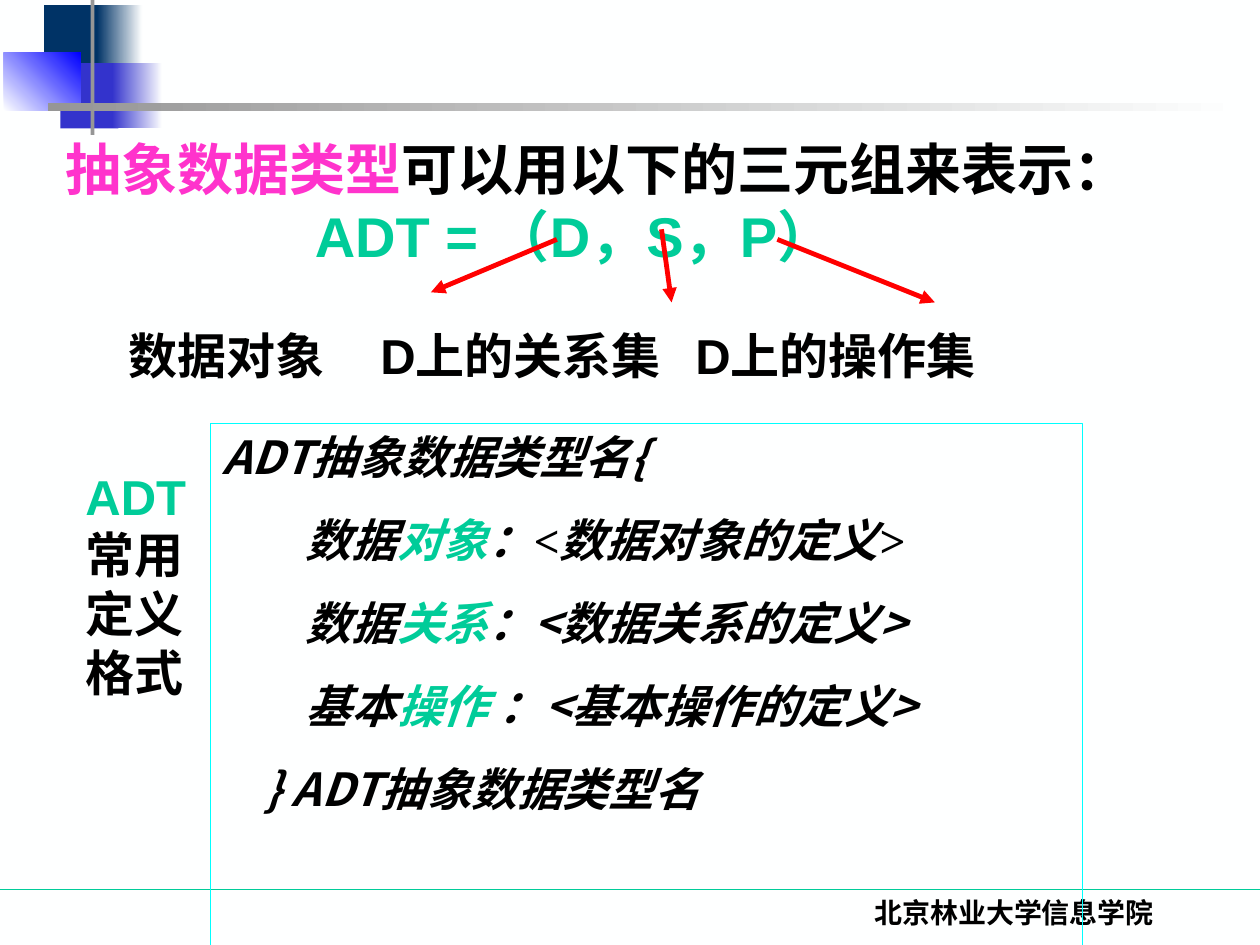
import pptx
import pptx.util
import pptx.dml.color
import pptx.enum.shapes
import pptx.enum.text
import pptx.oxml.ns
from lxml import etree

Inches = pptx.util.Inches
Pt = pptx.util.Pt
qn = pptx.oxml.ns.qn
SHAPE = pptx.enum.shapes.MSO_SHAPE
ALIGN = pptx.enum.text.PP_ALIGN

BACKGROUND, BLACK, GREEN = "FEFFFF", "000000", "00CC99"
PINK, CYAN, RED = "FF33CC", "00FFFF", "FF0000"
NAVY, INDIGO, BLUE, GRAY = "003366", "3333CC", "0000FF", "969696"
CJK = "Noto Sans CJK SC"
SERIF = "Times New Roman"


def color(value):
    return pptx.dml.color.RGBColor.from_string(value)


def add_rectangle(slide, box, fill=None, fade=None, angle=0, line=None):
    """Rectangle with no fill, a plain fill, or a gradient from fill to fade."""
    shape = slide.shapes.add_shape(SHAPE.RECTANGLE, *map(Inches, box))
    shape.shadow.inherit = False
    if fade:
        shape.fill.gradient()
        shape.fill.gradient_angle = angle
        for stop, value, position in zip(shape.fill.gradient_stops, (fill, fade), (0, 1)):
            stop.color.rgb = color(value)
            stop.position = position
    elif fill:
        shape.fill.solid()
        shape.fill.fore_color.rgb = color(fill)
    else:
        shape.fill.background()
    if line:
        shape.line.color.rgb = color(line)
        shape.line.width = Pt(0.75)
    else:
        shape.line.fill.background()
    return shape


def add_line(slide, start, end, line, width, arrow=False):
    connector = slide.shapes.add_connector(
        pptx.enum.shapes.MSO_CONNECTOR.STRAIGHT, *map(Inches, start + end))
    connector.line.color.rgb = color(line)
    connector.line.width = Pt(width)
    if arrow:
        etree.SubElement(connector.line._get_or_add_ln(), qn("a:tailEnd"), type="triangle")
    etree.SubElement(connector._element.spPr, qn("a:effectLst"))


def add_text_box(slide, box):
    return slide.shapes.add_textbox(*map(Inches, box))


def write_paragraph(shape, runs, size, font="Arial", italic=False, before=0,
                    indent=0, tabs=(), align=ALIGN.LEFT):
    """Add a paragraph; each run is (text, color) or (text, color, font)."""
    frame = shape.text_frame
    frame.word_wrap = True
    frame.vertical_anchor = pptx.enum.text.MSO_ANCHOR.TOP
    first = frame.paragraphs[0]
    paragraph = frame.add_paragraph() if first.runs else first
    properties = paragraph._p.get_or_add_pPr()
    properties.set("marL", str(Inches(indent)))
    properties.set("indent", "0")
    if tabs:
        tab_list = etree.SubElement(properties, qn("a:tabLst"))
        for position in tabs:
            etree.SubElement(tab_list, qn("a:tab"), pos=str(Inches(position)), algn="l")
    paragraph.alignment = align
    if before:
        paragraph.space_before = Pt(before)
    for text, text_color, *other_font in runs:
        run = paragraph.add_run()
        run.text = text
        run.font.size = Pt(size)
        run.font.bold = True
        run.font.italic = italic
        run.font.color.rgb = color(text_color)
        run.font.name = other_font[0] if other_font else font
        etree.SubElement(run._r.get_or_add_rPr(), qn("a:ea"), typeface=CJK)


def add_decoration(slide, left, top):
    """Overlapping squares and gray bars in the top left corner."""
    parts = [
        ((0.32, 0.12, 0.48, 0.52), NAVY, None, 0),
        ((0.74, 0.12, 0.36, 0.52), NAVY, BACKGROUND, 0),
        ((0.45, 0.58, 0.46, 0.52), INDIGO, None, 0),
        ((0.86, 0.58, 0.4, 0.52), INDIGO, BACKGROUND, 0),
        ((0, 0.5, 0.61, 0.46), BACKGROUND, BLUE, 45),
        ((0.69, 0, 0.03, 1.15), GRAY, None, 0),
        ((0.35, 0.9, 9.51, 0.06), GRAY, BACKGROUND, 0),
    ]
    for (x, y, width, height), fill, fade, angle in parts:
        add_rectangle(slide, (left + x, top + y, width, height), fill, fade, angle)


def add_footer(slide, box):
    add_line(slide, (0, box[1]), (10, box[1]), GREEN, 0.75)
    write_paragraph(add_text_box(slide, box), [("北京林业大学信息学院", BLACK)], 16,
                    font=SERIF, align=ALIGN.CENTER)


def add_triple(slide, box):
    """Statement, formula and the meaning of its three members."""
    shape = add_text_box(slide, box)
    write_paragraph(shape, [("抽象数据类型", PINK), ("可以用以下的三元组来表示：", BLACK)], 32)
    write_paragraph(shape, [("ADT = （D，S，P）", GREEN)], 32, indent=1.98)
    write_paragraph(shape, [("\t数据对象\tD上的关系集\tD上的操作集", BLACK)], 28,
                    before=32, tabs=(1.41, 3.32, 6.08))


def add_definition(slide, box):
    """Framed definition format of an abstract data type."""
    shape = add_rectangle(slide, box, line=CYAN)
    lines = [
        (0, [("ADT抽象数据类型名{", BLACK)]),
        (0.66, [("数据", BLACK), ("对象", GREEN), ("：", BLACK),
                ("<数据对象的定义>", BLACK, SERIF)]),
        (0.66, [("数据", BLACK), ("关系", GREEN), ("：<数据关系的定义>", BLACK)]),
        (0.66, [("基本", BLACK), ("操作", GREEN), (" ：<基本操作的定义>", BLACK)]),
        (0.33, [("} ADT抽象数据类型", BLACK), ("名", BLACK, SERIF)]),
    ]
    for number, (indent, runs) in enumerate(lines):
        write_paragraph(shape, runs, 26, font=CJK, italic=True, indent=indent,
                        before=16.2 if number else 0)


def add_side_label(slide, box):
    write_paragraph(add_text_box(slide, box), [("ADT", GREEN), ("常用定义格式", BLACK)], 28)


def add_arrows(slide):
    """Arrows from the formula members to their meanings."""
    for start, end in [((4.42, 1.9), (3.42, 2.32)),
                       ((5.25, 1.82), (5.33, 2.4)),
                       ((6.17, 1.9), (7.42, 2.4))]:
        add_line(slide, start, end, RED, 2.75, arrow=True)


def main():
    presentation = pptx.Presentation()
    presentation.slide_width = Inches(10)
    presentation.slide_height = Inches(7.5)
    slide = presentation.slides.add_slide(presentation.slide_layouts[6])
    slide.background.fill.solid()
    slide.background.fill.fore_color.rgb = color(BACKGROUND)

    add_decoration(slide, 0.03, -0.08)
    add_footer(slide, (5.98, 7.06, 4.14, 0.5))
    add_triple(slide, (0.42, 1.02, 9.17, 2.57))
    add_definition(slide, (1.67, 3.36, 6.92, 4.47))
    add_side_label(slide, (0.58, 3.65, 1.08, 1.97))
    add_arrows(slide)
    presentation.save("out.pptx")


if __name__ == "__main__":
    main()
